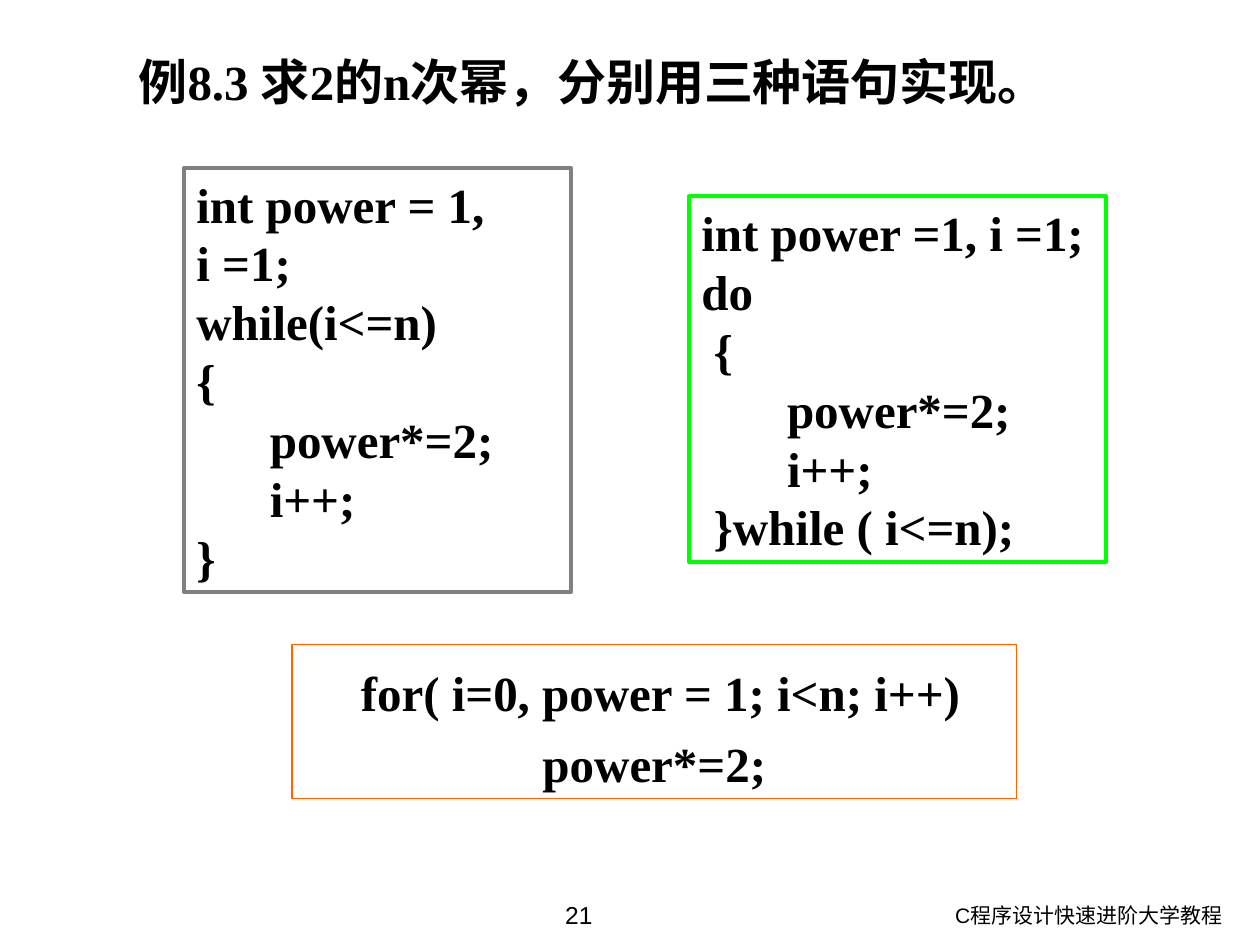
from pptx import Presentation
from pptx.dml.color import RGBColor
from pptx.enum.shapes import MSO_SHAPE
from pptx.enum.text import MSO_ANCHOR, MSO_AUTO_SIZE, PP_ALIGN
from pptx.util import Cm, Pt

BLACK = "000000"
CODE_FONT = "Times New Roman"
WHILE_CODE = """int power = 1,
i =1;
while(i<=n)
{
      power*=2;
      i++;
}"""
DO_WHILE_CODE = """int power =1, i =1;
do
 {
       power*=2;
       i++;
 }while ( i<=n);"""
FOR_CODE = """ for( i=0, power = 1; i<n; i++)
power*=2;"""


def color(value):
    return RGBColor.from_string(value)


def write_lines(frame, text, size, font, bold, align, spacing=None):
    frame.word_wrap = True
    for index, line in enumerate(text.split("\n")):
        para = frame.paragraphs[0] if index == 0 else frame.add_paragraph()
        para.add_run().text = line
        para.alignment = align
        para.line_spacing = spacing
        para.font.name = font
        para.font.size = Pt(size)
        para.font.bold = bold
        para.font.color.rgb = color(BLACK)


def set_title(page, text, left, top, width, height):
    title = page.shapes.title
    title.left, title.top = Cm(left), Cm(top)
    title.width, title.height = Cm(width), Cm(height)
    frame = title.text_frame
    frame.auto_size = MSO_AUTO_SIZE.NONE
    frame.vertical_anchor = MSO_ANCHOR.TOP
    write_lines(frame, text, 28, CODE_FONT, True, PP_ALIGN.LEFT)


def add_code_box(page, code, left, top, width, height, line, weight,
                 fill=None, align=PP_ALIGN.LEFT, spacing=None):
    box = page.shapes.add_shape(MSO_SHAPE.RECTANGLE, Cm(left), Cm(top),
                                Cm(width), Cm(height))
    box.shadow.inherit = False
    if fill:
        box.fill.solid()
        box.fill.fore_color.rgb = color(fill)
    else:
        box.fill.background()
    box.line.color.rgb = color(line)
    box.line.width = Pt(weight)
    frame = box.text_frame
    frame.vertical_anchor = MSO_ANCHOR.MIDDLE
    write_lines(frame, code, 28, CODE_FONT, True, align, spacing)


def add_footer(page, text, left, top, width, height, size, align):
    box = page.shapes.add_textbox(Cm(left), Cm(top), Cm(width), Cm(height))
    write_lines(box.text_frame, text, size, "Arial", False, align)


def main():
    deck = Presentation()
    deck.slide_width, deck.slide_height = Cm(25.4), Cm(19.05)
    page = deck.slides.add_slide(deck.slide_layouts[5])
    add_footer(page, "C程序设计快速进阶大学教程", 16.69, 18.06, 8.2, 0.99,
               12, PP_ALIGN.RIGHT)
    add_footer(page, "21", 8.71, 18.01, 5.92, 1.04, 14, PP_ALIGN.CENTER)
    set_title(page, "例8.3 求2的n次幂，分别用三种语句实现。", 2.54, 0.91, 22.86, 1.9)
    add_code_box(page, WHILE_CODE, 3.71, 3.38, 7.8, 8.56,
                 "808080", 2.25, fill="FFFFFF")
    add_code_box(page, DO_WHILE_CODE, 13.89, 3.96, 8.41, 7.37,
                 "00FF00", 2.25, fill="FFFFFF")
    add_code_box(page, FOR_CODE, 5.89, 13, 14.6, 3.1, "FF6600", 0.75,
                 align=PP_ALIGN.CENTER, spacing=1.2)
    deck.save("out.pptx")


if __name__ == "__main__":
    main()
